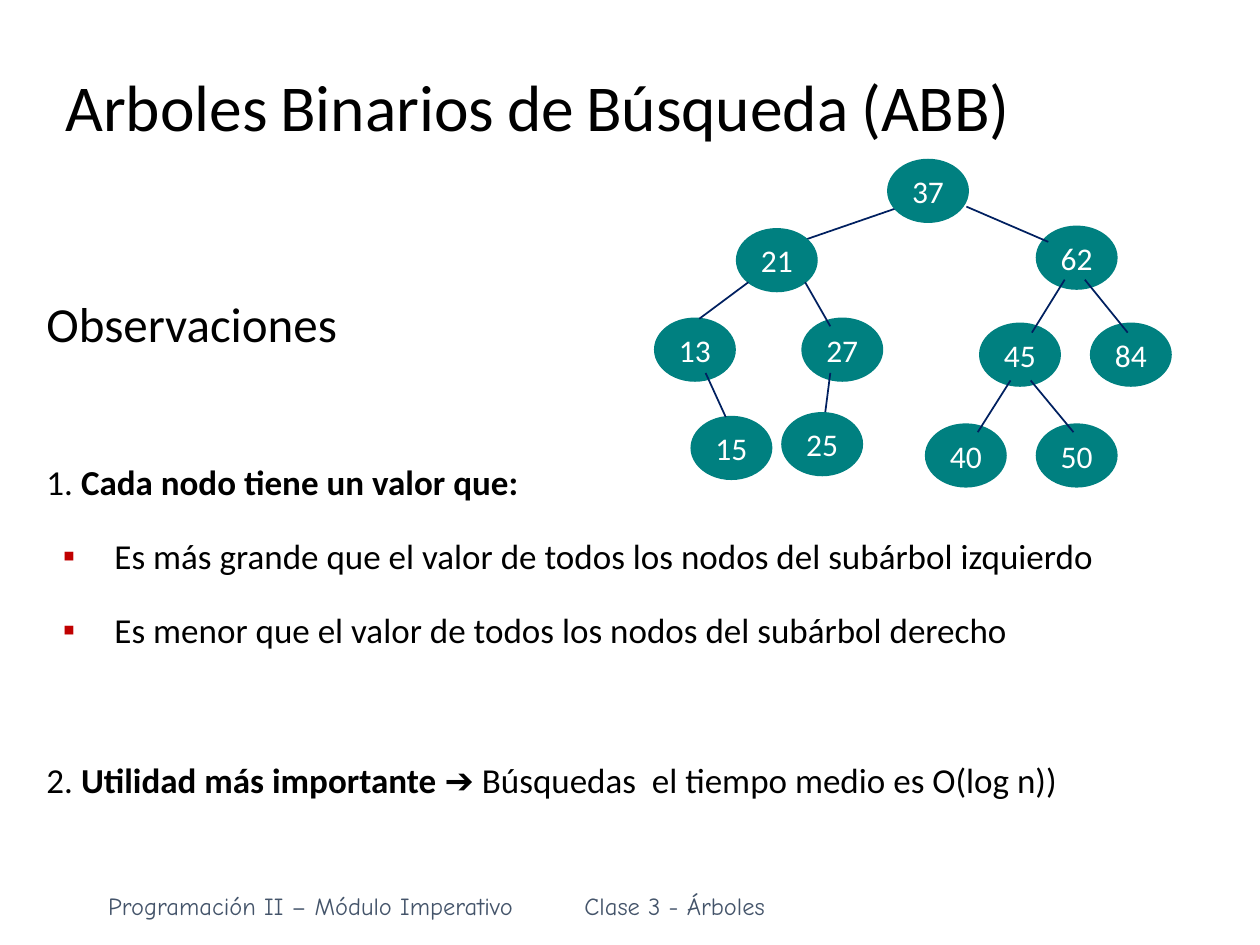
from lxml.etree import SubElement
from pptx import Presentation
from pptx.dml.color import RGBColor
from pptx.enum.shapes import MSO_CONNECTOR, MSO_SHAPE
from pptx.enum.text import MSO_ANCHOR, PP_ALIGN
from pptx.oxml.ns import qn
from pptx.util import Inches, Pt

WIDE, HIGH = Inches(10), Inches(7.5)
COLS, ROWS = 10, 7.5

BLACK = RGBColor(0x00, 0x00, 0x00)
WHITE = RGBColor(0xFF, 0xFF, 0xFF)
NAVY = RGBColor(0x00, 0x20, 0x60)
TEAL = RGBColor(0x00, 0x80, 0x80)
SLATE = RGBColor(0x44, 0x54, 0x6A)

FONT = "Calibri"
LEADING = 1.35
GAP = 10
SKIP = 53  # the usual gap plus one empty line
NODE = (0.65, 0.51)

# value: column and row of the left top corner
NODES = {
    "37": (7.04, 1.26),
    "21": (5.84, 1.81), "62": (8.22, 1.79),
    "13": (5.19, 2.52), "27": (6.36, 2.52),
    "45": (7.77, 2.56), "84": (8.65, 2.56),
    "15": (5.48, 3.3), "25": (6.2, 3.27),
    "40": (7.34, 3.36), "50": (8.22, 3.36),
}
# parent end, child end
BACK_EDGE = (7.18, 1.63), (6.34, 1.92)
EDGES = [
    ((7.67, 1.64), (8.32, 1.92)),
    ((5.94, 2.24), (5.55, 2.53)), ((6.39, 2.24), (6.59, 2.59)),
    ((8.45, 2.22), (8.19, 2.64)), ((8.61, 2.22), (8.95, 2.64)),
    ((5.6, 2.96), (5.76, 3.31)), ((6.59, 2.96), (6.55, 3.27)),
    ((8.02, 3.02), (7.76, 3.43)), ((8.18, 3.02), (8.52, 3.43)),
]

# space before, size, bulleted, runs of (text, bold, font)
BODY = [
    (0, 28, False, [("Observaciones", False, FONT)]),
    (SKIP, 20, False, [("1. ", False, FONT),
                       ("Cada nodo tiene un valor que:", True, FONT)]),
    (GAP, 20, True, [("Es más grande que el valor de todos los nodos "
                      "del subárbol izquierdo", False, FONT)]),
    (GAP, 20, True, [("Es menor que el valor de todos los nodos "
                      "del subárbol derecho", False, FONT)]),
    (SKIP, 20, False, [("2. ", False, FONT),
                       ("Utilidad más importante ", True, FONT),
                       ("➔", False, "Arial"),
                       (" Búsquedas  el tiempo medio es O(log n))",
                        False, FONT)]),
]
TITLE = ["Arboles", "Binarios", "de", "Búsqueda", "(ABB)"]
FOOT = [(0.76, 3.43, "Programación II – Módulo Imperativo"),
        (4.54, 1.63, "Clase 3 - Árboles")]


def spot(col, row):
    """Turn a column and a row of the grid into slide lengths."""
    return round(WIDE * col / COLS), round(HIGH * row / ROWS)


def add_run(para, text, size, color=BLACK, bold=False, font=FONT):
    run = para.add_run()
    run.text = text
    run.font.name = font
    run.font.size = Pt(size)
    run.font.bold = bold
    run.font.color.rgb = color


def add_shape(slide, kind, at, size, fill):
    shape = slide.shapes.add_shape(kind, *spot(*at), *spot(*size))
    shape.shadow.inherit = False
    shape.fill.solid()
    shape.fill.fore_color.rgb = fill
    shape.line.fill.background()
    shape.text_frame.vertical_anchor = MSO_ANCHOR.MIDDLE
    return shape.text_frame


def add_box(slide, at, size, wrap):
    frame = slide.shapes.add_textbox(*spot(*at), *spot(*size)).text_frame
    frame.word_wrap = wrap
    return frame


def add_edge(slide, start, end):
    edge = slide.shapes.add_connector(
        MSO_CONNECTOR.STRAIGHT, *spot(*start), *spot(*end))
    edge.line.color.rgb = NAVY
    edge.line.width = Pt(1)
    SubElement(edge._element.spPr, qn("a:effectLst"))


def add_node(slide, value, at):
    frame = add_shape(slide, MSO_SHAPE.OVAL, at, NODE, TEAL)
    frame.word_wrap = False
    para = frame.paragraphs[0]
    para.alignment = PP_ALIGN.CENTER
    add_run(para, value, 18, WHITE)


def add_tree(slide):
    add_edge(slide, *BACK_EDGE)
    for value, at in NODES.items():
        add_node(slide, value, at)
    for start, end in EDGES:
        add_edge(slide, start, end)


def add_title(slide):
    frame = add_shape(slide, MSO_SHAPE.RECTANGLE,
                      (0.42, 0.49), (9.07, 0.77), WHITE)
    frame.word_wrap = True
    para = frame.paragraphs[0]
    para.alignment = PP_ALIGN.LEFT
    para.line_spacing = 0.9
    for i, word in enumerate(TITLE):
        if i:
            add_run(para, " ", 30.6, NAVY, True)
        add_run(para, word, 37.4)


def set_bullet(para):
    props = para._p.get_or_add_pPr()
    props.set("marL", str(Inches(0.54)))
    props.set("indent", str(-Inches(0.41)))
    tint = SubElement(props, qn("a:buClr"))
    SubElement(tint, qn("a:srgbClr"), val="C00000")
    SubElement(props, qn("a:buFont"), typeface="Arial")
    SubElement(props, qn("a:buChar"), char="▪")


def add_body(slide):
    frame = add_box(slide, (0.27, 2.12), (9.45, 4.31), True)
    for i, (space, size, dot, runs) in enumerate(BODY):
        para = frame.add_paragraph() if i else frame.paragraphs[0]
        para.alignment = PP_ALIGN.JUSTIFY
        para.line_spacing = LEADING
        para.space_before = Pt(space)
        if dot:
            set_bullet(para)
        for text, bold, font in runs:
            add_run(para, text, size, bold=bold, font=font)


def add_foot(slide):
    for col, wide, text in FOOT:
        frame = add_box(slide, (col, 7.02), (wide, 0.34), False)
        add_run(frame.paragraphs[0], text, 14, SLATE, font="Comic Neue")


def main():
    deck = Presentation()
    deck.slide_width, deck.slide_height = WIDE, HIGH
    slide = deck.slides.add_slide(deck.slide_layouts[6])
    add_foot(slide)
    add_body(slide)
    add_title(slide)
    add_tree(slide)
    deck.save("out.pptx")


if __name__ == "__main__":
    main()
